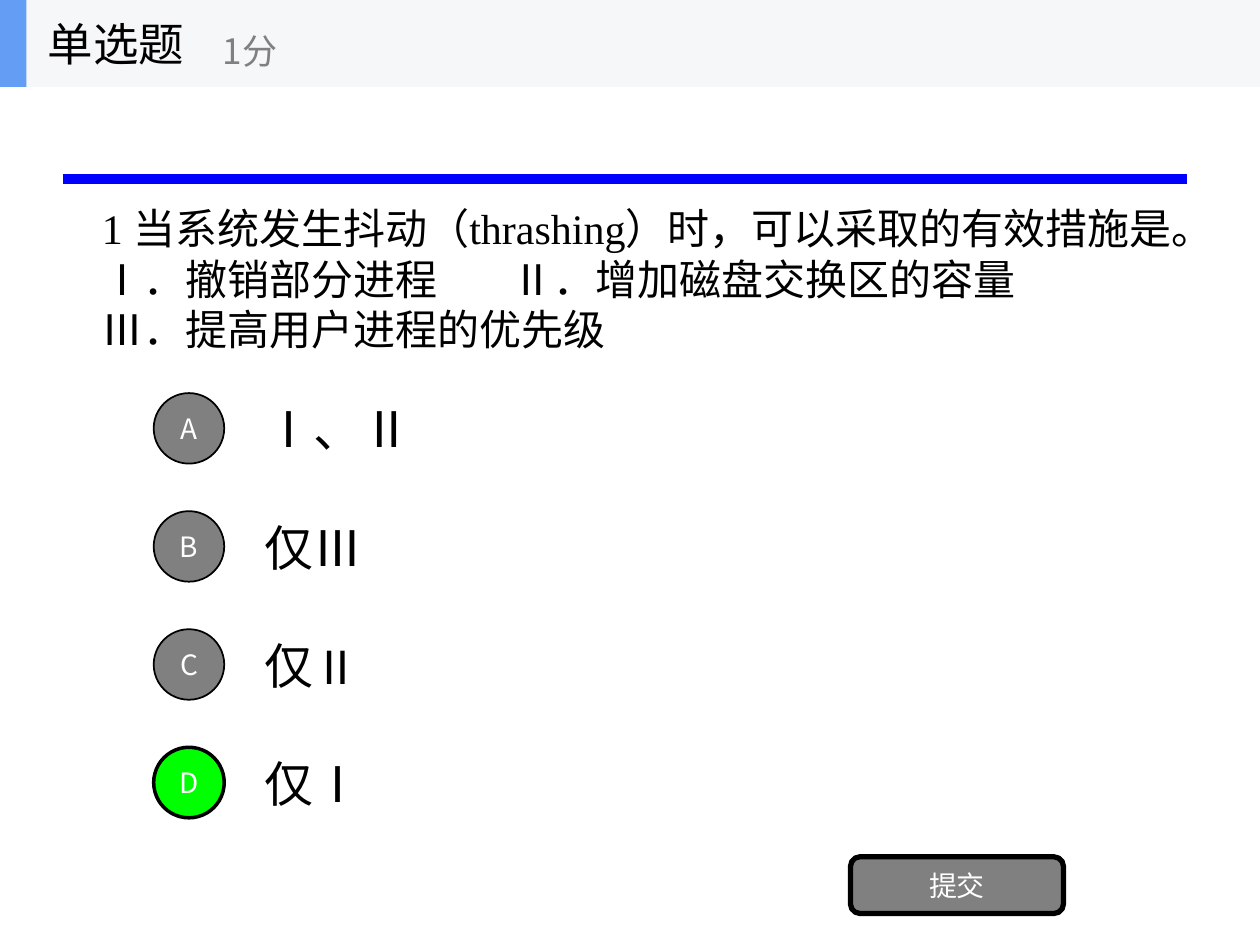
from lxml import etree
from pptx import Presentation
from pptx.dml.color import RGBColor
from pptx.enum.shapes import MSO_CONNECTOR, MSO_SHAPE
from pptx.enum.text import MSO_ANCHOR, PP_ALIGN
from pptx.oxml.ns import qn
from pptx.util import Inches, Pt

BLACK = RGBColor(0x00, 0x00, 0x00)
WHITE = RGBColor(0xFF, 0xFF, 0xFF)
GRAY = RGBColor(0x80, 0x80, 0x80)
GREEN = RGBColor(0x00, 0xFF, 0x00)
BLUE = RGBColor(0x00, 0x00, 0xFF)
HEADER_GRAY = RGBColor(0xF6, 0xF7, 0xF8)
HEADER_BLUE = RGBColor(0x63, 0x9E, 0xF4)
SANS = "Noto Sans CJK SC"
SERIF = "Times New Roman"


def write(paragraph, text, size=16, font=SANS, color=BLACK, align=PP_ALIGN.LEFT):
    paragraph.alignment = align
    paragraph.line_spacing = 1.0
    frame = paragraph._parent
    frame.word_wrap = True
    frame.vertical_anchor = MSO_ANCHOR.MIDDLE
    run = paragraph.add_run()
    run.text = text
    run.font.size = Pt(size)
    run.font.name = font
    run.font.color.rgb = color
    east_asian = etree.SubElement(run.font._element, qn("a:ea"))
    east_asian.set("typeface", SANS)


def add_block(kind, left, top, width, height, fill, line_width=0):
    block = slide.shapes.add_shape(
        kind, Inches(left), Inches(top), Inches(width), Inches(height))
    block.shadow.inherit = False
    block.fill.solid()
    block.fill.fore_color.rgb = fill
    if line_width:
        block.line.color.rgb = BLACK
        block.line.width = Pt(line_width)
    else:
        block.line.fill.background()
    return block


prs = Presentation()
prs.slide_width = Inches(10)
prs.slide_height = Inches(7.5)
slide = prs.slides.add_slide(prs.slide_layouts[5])

divider = slide.shapes.add_connector(
    MSO_CONNECTOR.STRAIGHT, Inches(0.5), Inches(1.42), Inches(9.42), Inches(1.42))
divider.line.color.rgb = BLUE
divider.line.width = Pt(6)
etree.SubElement(divider._element.spPr, qn("a:effectLst"))

question = slide.shapes.add_textbox(
    Inches(0.71), Inches(1.15), Inches(9.49), Inches(2.12)).text_frame
question_lines = [
    "1 当系统发生抖动（thrashing）时，可以采取的有效措施是。",
    "Ⅰ．撤销部分进程\tⅡ．增加磁盘交换区的容量",
    "Ⅲ．提高用户进程的优先级",
]
for index, line in enumerate(question_lines):
    paragraph = question.paragraphs[0] if index == 0 else question.add_paragraph()
    if "\t" in line:
        tabs = etree.SubElement(paragraph._p.get_or_add_pPr(), qn("a:tabLst"))
        etree.SubElement(tabs, qn("a:tab"), pos=str(Inches(3.25)), algn="l")
    write(paragraph, line, size=24, font=SERIF)

options = [
    ("A", [("Ⅰ、Ⅱ", 28)]),
    ("B", [("仅Ⅲ", 28)]),
    ("C", [("仅", 28), ("Ⅱ", 26)]),
    ("D", [("仅Ⅰ", 28)]),
]
for index, (letter, answer_parts) in enumerate(options):
    top = 3.05 + index * 0.937
    answer = slide.shapes.add_textbox(
        Inches(2), Inches(top), Inches(7), Inches(0.7)).text_frame
    for text, size in answer_parts:
        write(answer.paragraphs[0], text, size=size, font=SERIF)
    correct = letter == "D"
    badge = add_block(MSO_SHAPE.OVAL, 1.22, top + 0.07, 0.56, 0.56,
                      GREEN if correct else GRAY, line_width=2 if correct else 1)
    write(badge.text_frame.paragraphs[0], letter, color=WHITE, align=PP_ALIGN.CENTER)

submit = add_block(MSO_SHAPE.ROUNDED_RECTANGLE, 6.75, 6.8, 1.69, 0.45, GRAY, line_width=3)
write(submit.text_frame.paragraphs[0], "提交", color=WHITE, align=PP_ALIGN.CENTER)

add_block(MSO_SHAPE.RECTANGLE, 0, 0, 10, 0.69, HEADER_GRAY)
add_block(MSO_SHAPE.RECTANGLE, 0, 0, 0.21, 0.69, HEADER_BLUE)

heading = slide.shapes.title
heading.left, heading.top = Inches(0.28), Inches(0)
heading.width, heading.height = Inches(2.08), Inches(0.69)
write(heading.text_frame.paragraphs[0], "单选题", size=26)
slide.shapes._spTree.append(heading._element)

points = slide.shapes.add_textbox(
    Inches(1.67), Inches(0.12), Inches(2.5), Inches(0.56)).text_frame
write(points.paragraphs[0], "1分", size=20, color=GRAY)

prs.save("out.pptx")
